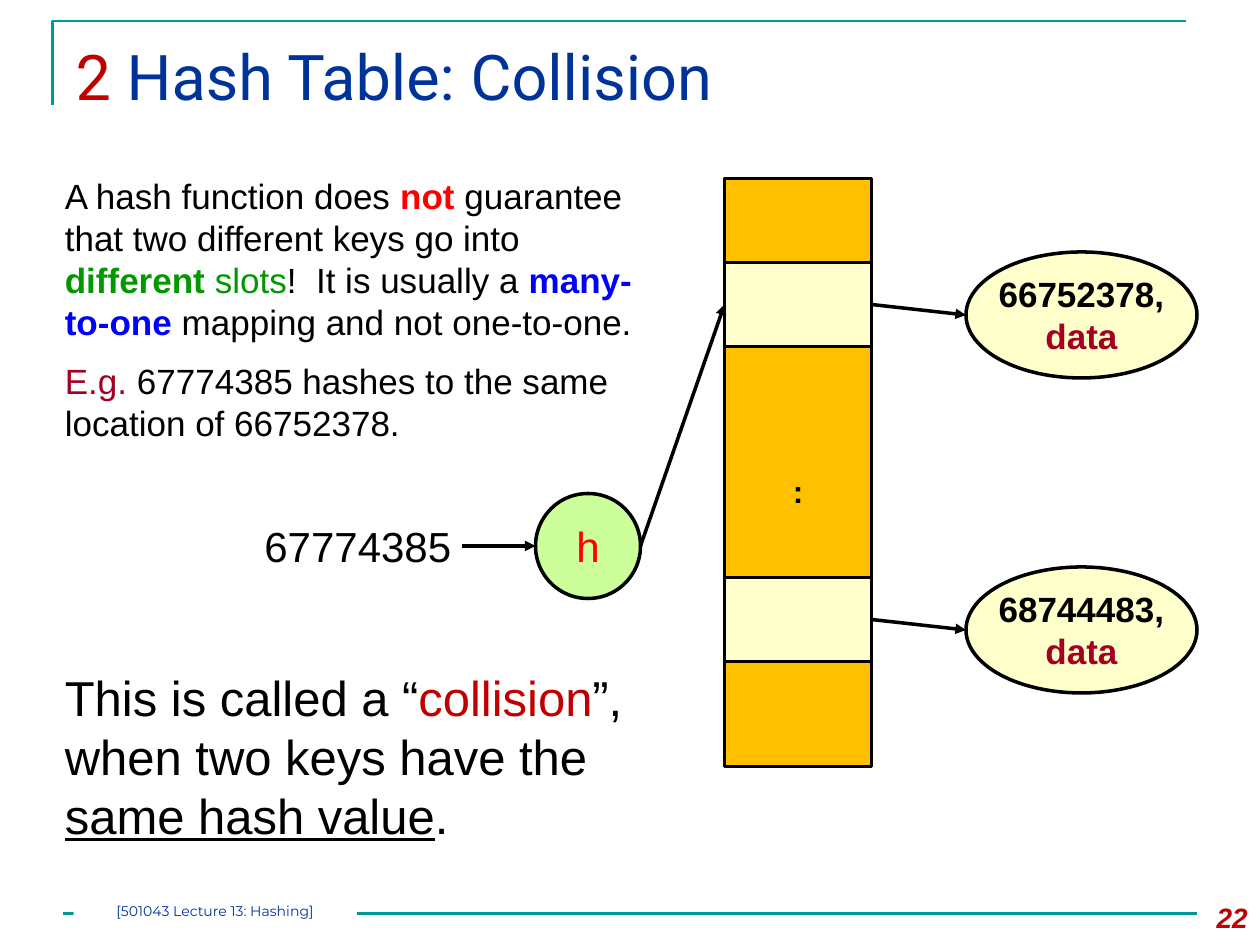
from lxml import etree
from pptx import Presentation
from pptx import util as u
from pptx.dml.color import RGBColor
from pptx.enum import shapes as kinds
from pptx.enum import text as t
from pptx.oxml import ns

BLACK, RED, TEAL, NAVY, MAROON = "000000", "C00000", "009999", "003399", "A50021"
ORANGE, CREAM, GREEN = "FFC000", "FFFFCC", "CCFF99"
BOLD = {"bold": True}
LEFT, CENTER, RIGHT = t.PP_ALIGN.LEFT, t.PP_ALIGN.CENTER, t.PP_ALIGN.RIGHT
RECT, OVAL = kinds.MSO_SHAPE.RECTANGLE, kinds.MSO_SHAPE.OVAL

TITLE = [[("2 ", RED, {}), ("Hash Table: Collision", NAVY, {})]]
EXPLANATION = [
    [("A hash function does ", BLACK, {}), ("not ", "FF0000", BOLD),
     ("guarantee that two different keys go into ", BLACK, {}),
     ("different", "009900", BOLD), (" slots", "009900", {}),
     ("!  It is usually a ", BLACK, {}), ("many-to-one", "0000FF", BOLD),
     (" mapping and not one-to-one.", BLACK, {})],
    [("E.g.", MAROON, {}),
     (" 67774385 hashes to the same location of 66752378.", BLACK, {})],
]
CONCLUSION = [[
    ("This is called a “", BLACK, {}), ("collision", RED, {}),
    ("”, when two keys have the ", BLACK, {}),
    ("same hash value", BLACK, {"underline": True}), (".", BLACK, {}),
]]
PAGE_NUMBER = [[("22", RED, {"bold": True, "italic": True})]]
FOOTER = [[("[501043 Lecture 13: Hashing]", NAVY, {})]]
ENTRIES = [("66752378,", 150), ("68744483,", 330)]

TABLE_LEFT, TABLE_TOP, TABLE_WIDTH, TABLE_HEIGHT = 414, 102, 84, 336
SLOT_HEIGHT = 48
ENTRY_LEFT, ENTRY_WIDTH, ENTRY_HEIGHT, ENTRY_RISE = 552, 132, 72, 6
HASH_LEFT, HASH_MIDDLE, HASH_SIZE = 306, 312, 60


def color(hex_value):
    return RGBColor.from_string(hex_value)


def points(*values):
    return [u.Pt(value) for value in values]


def write(box, paragraphs, size, font="Arial", align=LEFT, gap=0, **frame_format):
    frame = box.text_frame
    for name, value in frame_format.items():
        setattr(frame, name, value)
    for index, spans in enumerate(paragraphs):
        para = frame.paragraphs[0] if index == 0 else frame.add_paragraph()
        para.alignment = align
        para.space_before = u.Pt(gap if index else 0)
        for words, hue, style in spans:
            span = para.add_run()
            span.text = words
            span.font.color.rgb = color(hue)
            for name, value in {"name": font, "size": u.Pt(size), **style}.items():
                setattr(span.font, name, value)


def add_text(page, place, paragraphs, size, wrap=True, **options):
    box = page.shapes.add_textbox(*points(*place))
    write(box, paragraphs, size, word_wrap=wrap, **options)


def add_block(page, kind, place, fill, outline=BLACK):
    block = page.shapes.add_shape(kind, *points(*place))
    block.shadow.inherit = False
    block.fill.solid()
    block.fill.fore_color.rgb = color(fill)
    if outline:
        block.line.color.rgb = color(outline)
        block.line.width = u.Pt(2)
    else:
        block.line.fill.background()
    return block


def add_line(page, start, end, hue=BLACK, width=2, arrow=True):
    line = page.shapes.add_connector(
        kinds.MSO_CONNECTOR.STRAIGHT, *points(*start, *end))
    line.line.color.rgb = color(hue)
    line.line.width = u.Pt(width)
    if arrow:
        outline = line.line._get_or_add_ln()
        etree.SubElement(outline, ns.qn("a:tailEnd"), type="triangle")
    etree.SubElement(line._element.spPr, ns.qn("a:effectLst"))
    return line


def add_frame(page):
    builder = page.shapes.build_freeform(30, 60, scale=u.Pt(1))
    builder.add_line_segments([(30, 12), (678, 12)], close=False)
    corner = builder.convert_to_shape()
    corner.shadow.inherit = False
    corner.fill.background()
    corner.line.color.rgb = color(TEAL)
    corner.line.width = u.Pt(1.5)
    add_line(page, (36, 522), (684, 522), TEAL, 1.5, arrow=False)
    footer = add_block(page, RECT, (42, 516, 162, 12), "FFFFFF", None)
    margins = dict.fromkeys(
        ("margin_left", "margin_top", "margin_right", "margin_bottom"), 0)
    write(footer, FOOTER, 8, "Montserrat", CENTER,
          vertical_anchor=t.MSO_ANCHOR.TOP, **margins)
    add_text(page, (672, 511, 48, 29), PAGE_NUMBER, 16, align=RIGHT)


def add_title(page):
    title = page.shapes.title
    title.left, title.top, title.width, title.height = points(36, 18, 648, 72)
    write(title, TITLE, 36, "Roboto", vertical_anchor=t.MSO_ANCHOR.TOP)


def add_table_diagram(page):
    middle = {"align": CENTER, "word_wrap": False,
              "vertical_anchor": t.MSO_ANCHOR.MIDDLE}
    column = add_block(
        page, RECT, (TABLE_LEFT, TABLE_TOP, TABLE_WIDTH, TABLE_HEIGHT), ORANGE)
    write(column, [[(":", BLACK, BOLD)]], 18, margin_top=u.Pt(24), **middle)
    add_block(page, RECT, (TABLE_LEFT, TABLE_TOP, TABLE_WIDTH, SLOT_HEIGHT), ORANGE)

    slots = []
    for key, top in ENTRIES:
        slot = add_block(page, RECT, (TABLE_LEFT, top, TABLE_WIDTH, SLOT_HEIGHT), CREAM)
        slots.append(slot)
        entry_top = top - ENTRY_RISE
        entry = add_block(
            page, OVAL, (ENTRY_LEFT, entry_top, ENTRY_WIDTH, ENTRY_HEIGHT), CREAM)
        write(entry, [[(key, BLACK, BOLD)], [("data", MAROON, BOLD)]], 20, **middle)
        link = add_line(page, (TABLE_LEFT + TABLE_WIDTH, top + SLOT_HEIGHT / 2),
                        (ENTRY_LEFT, entry_top + ENTRY_HEIGHT / 2))
        link.begin_connect(slot, 3)

    hash_top = HASH_MIDDLE - HASH_SIZE / 2
    circle = add_block(page, OVAL, (HASH_LEFT, hash_top, HASH_SIZE, HASH_SIZE), GREEN)
    write(circle, [[("h", "FF0000", {})]], 24, **middle)
    add_text(page, (144, 294, 122, 36), [[("67774385", BLACK, {})]], 24, wrap=False)
    add_line(page, (264, HASH_MIDDLE), (HASH_LEFT, HASH_MIDDLE))
    lookup = add_line(page, (HASH_LEFT + HASH_SIZE, HASH_MIDDLE),
                      (TABLE_LEFT, ENTRIES[0][1] + SLOT_HEIGHT / 2))
    lookup.end_connect(slots[0], 1)


def main():
    deck = Presentation()
    deck.slide_width, deck.slide_height = points(720, 540)
    page = deck.slides.add_slide(deck.slide_layouts[5])
    add_frame(page)
    add_title(page)
    add_table_diagram(page)
    add_text(page, (30, 96, 360, 165), EXPLANATION, 20, gap=10)
    add_text(page, (30, 378, 361, 109), CONCLUSION, 28)
    deck.save("out.pptx")


if __name__ == "__main__":
    main()
